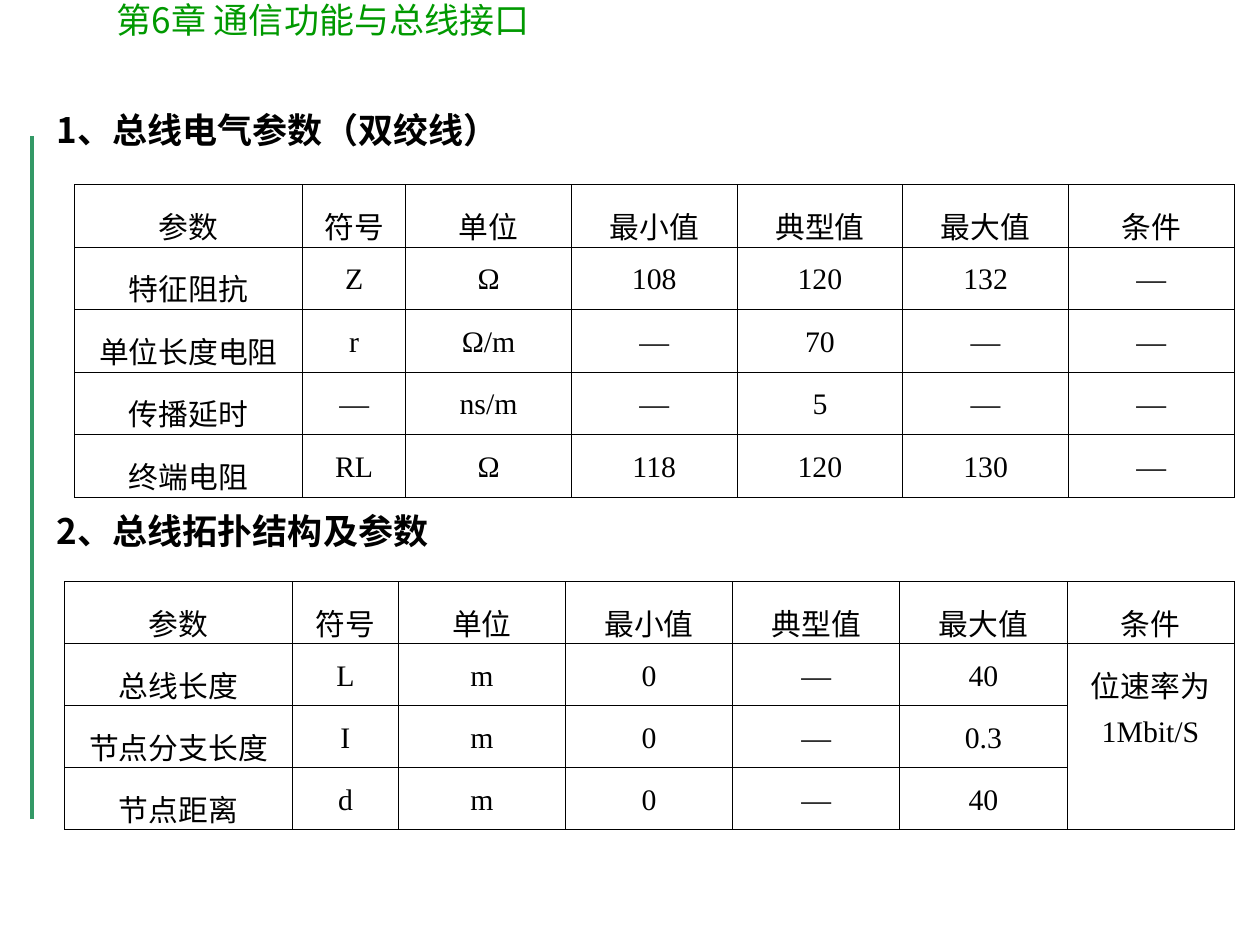
from lxml.etree import SubElement
from pptx import Presentation
from pptx.dml.color import RGBColor
from pptx.enum.shapes import MSO_CONNECTOR
from pptx.enum.text import PP_ALIGN
from pptx.oxml import parse_xml
from pptx.oxml.ns import nsdecls, qn
from pptx.util import Cm, Pt

SANS = "Noto Sans CJK SC"
SERIF = "Times New Roman"
HEADER = ["参数", "符号", "单位", "最小值", "典型值", "最大值", "条件"]
ELECTRICAL = [
    HEADER,
    ["特征阻抗", "Z", "Ω", "108", "120", "132", "—"],
    ["单位长度电阻", "r", "Ω/m", "—", "70", "—", "—"],
    ["传播延时", "—", "ns/m", "—", "5", "—", "—"],
    ["终端电阻", "RL", "Ω", "118", "120", "130", "—"],
]
TOPOLOGY = [
    HEADER,
    ["总线长度", "L", "m", "0", "—", "40", "位速率为\n1Mbit/S"],
    ["节点分支长度", "I", "m", "0", "—", "0.3", ""],
    ["节点距离", "d", "m", "0", "—", "40", ""],
]


def color(value):
    return RGBColor.from_string(value)


def apply(target, formats):
    for name, value in formats.items():
        setattr(target, name, value)


def style_text(paragraph, font, fill, layout):
    apply(paragraph, layout)
    for run in paragraph.runs:
        apply(run.font, font)
        run.font.color.rgb = color(fill)
        SubElement(run.font._element, qn("a:ea"), typeface=SANS)


def add_text(slide, lines, box, font, fill, layout):
    frame = slide.shapes.add_textbox(*map(Cm, box)).text_frame
    frame.word_wrap = True
    frame.text = "\n".join(lines)
    for paragraph in frame.paragraphs:
        style_text(paragraph, font, fill, layout)
    return frame


def add_rule(slide, x, top, bottom):
    rule = slide.shapes.add_connector(
        MSO_CONNECTOR.STRAIGHT, Cm(x), Cm(top), Cm(x), Cm(bottom))
    rule.line.color.rgb = color("339966")
    rule.line.width = Pt(2.25)
    SubElement(rule._element.spPr, qn("a:effectLst"))


def add_borders(cell):
    properties = cell._tc.get_or_add_tcPr()
    for position, side in enumerate("LRTB"):
        properties.insert(position, parse_xml(
            f'<a:ln{side} {nsdecls("a")} w="{Pt(0.45)}"><a:solidFill>'
            f'<a:srgbClr val="000000"/></a:solidFill></a:ln{side}>'))


def add_parameters(slide, rows, left, top, widths, row_height):
    frame = slide.shapes.add_table(
        len(rows), len(widths), Cm(left), Cm(top),
        Cm(sum(widths)), Cm(row_height * len(rows)))
    table = frame.table
    apply(table, {"first_row": False, "horz_banding": False})
    for column, width in zip(table.columns, widths):
        column.width = Cm(width)
    font = {"name": SERIF, "size": Pt(17)}
    layout = {"alignment": PP_ALIGN.CENTER, "line_spacing": 1.3}
    for row, values in zip(table.rows, rows):
        row.height = Cm(row_height)
        for cell, value in zip(row.cells, values):
            cell.text = value
            cell.fill.background()
            add_borders(cell)
            for paragraph in cell.text_frame.paragraphs:
                style_text(paragraph, font, "000000", layout)
    return table


def main():
    deck = Presentation()
    apply(deck, {"slide_width": Cm(25.4), "slide_height": Cm(19.05)})
    slide = deck.slides.add_slide(deck.slide_layouts[6])

    add_rule(slide, 0.64, 2.75, 16.51)
    add_text(slide, ["第6章 通信功能与总线接口"], (2.1, -0.15, 14.6, 1.12),
             {"name": SANS, "size": Pt(20)}, "009900", {})
    headings = add_text(
        slide, ["1、总线电气参数（双绞线）", "2、总线拓扑结构及参数"],
        (0.9, 1.72, 24.2, 10.92),
        {"name": SANS, "size": Pt(20), "bold": True}, "000000",
        {"line_spacing": 1.4})
    headings.paragraphs[1].space_before = Pt(195.5)

    add_parameters(slide, ELECTRICAL, 1.5, 3.72, [4.6, 2.08] + [3.34] * 5, 1.26)
    topology = add_parameters(
        slide, TOPOLOGY, 1.3, 11.72, [4.6, 2.13] + [3.37] * 5, 1.25)
    topology.cell(1, 6).merge(topology.cell(3, 6))

    deck.save("out.pptx")


if __name__ == "__main__":
    main()
